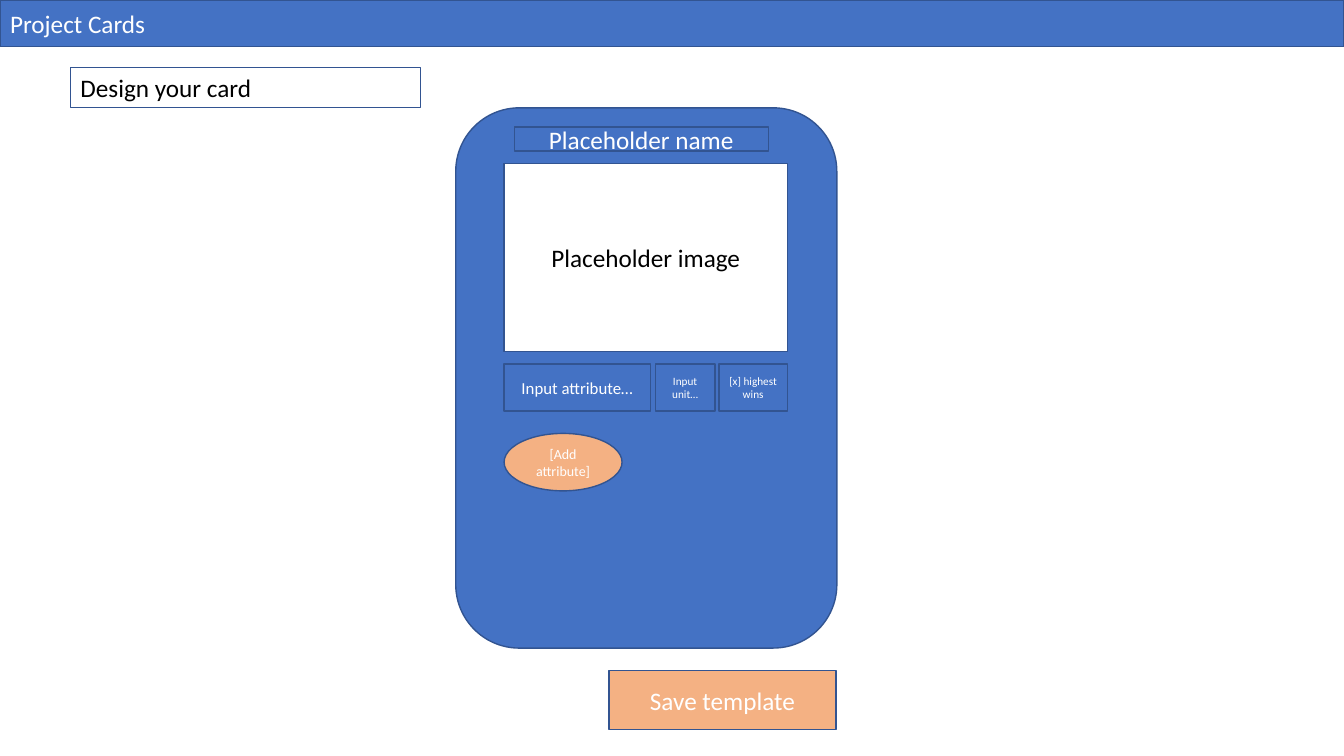
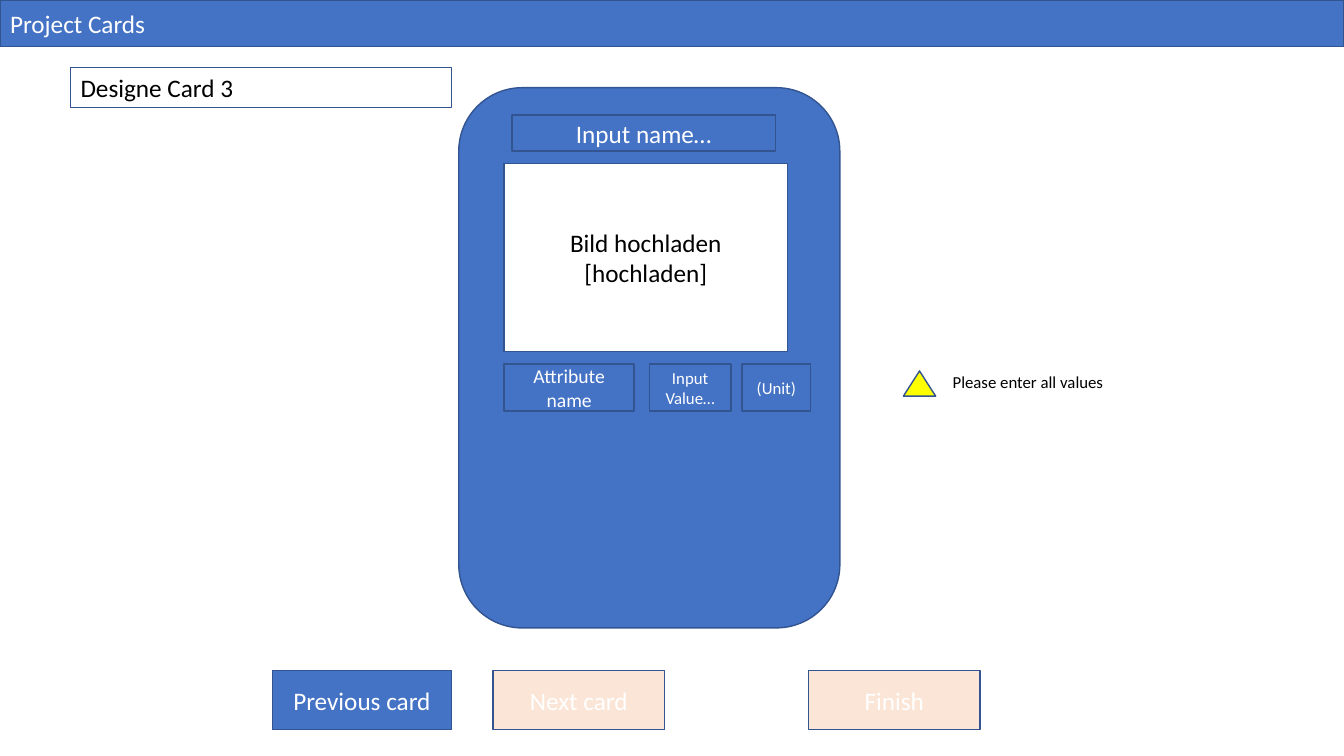
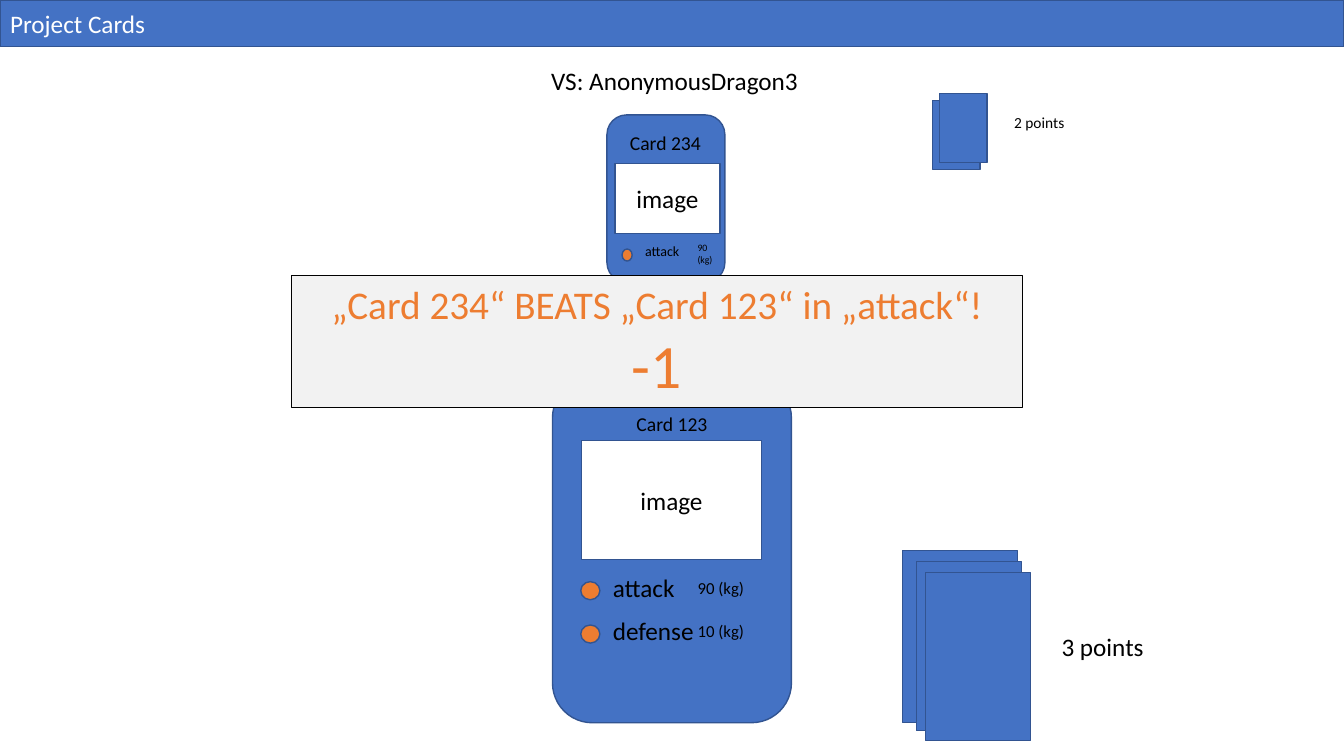
from pptx import Presentation
from pptx.dml.color import RGBColor
from pptx.enum.shapes import MSO_SHAPE
from pptx.enum.text import MSO_ANCHOR, MSO_AUTO_SIZE, PP_ALIGN
from pptx.util import Inches, Pt

FONT = "Calibri"
BLUE, EDGE = "4472C4", "325491"
WHITE, BLACK = "FFFFFF", "000000"
ORANGE, PEACH, PALE = "ED7D31", "F4B183", "FBE5D6"
YELLOW, GREY = "FFFF00", "F2F2F2"
LEFT, CENTER = PP_ALIGN.LEFT, PP_ALIGN.CENTER
TITLE_ONLY = 5


def rgb(color):
    """Turn a hex string into a colour."""
    return RGBColor.from_string(color)


def paint(sp, fill, line=EDGE, width=1):
    """Set the fill and the outline of a shape."""
    sp.fill.solid()
    sp.fill.fore_color.rgb = rgb(fill)
    sp.line.color.rgb = rgb(line)
    sp.line.width = Pt(width)


def write(tf, lines, color, align, anchor):
    """Write (text, size) lines as paragraphs of a text frame."""
    tf.word_wrap = True
    tf.auto_size = MSO_AUTO_SIZE.NONE
    tf.vertical_anchor = anchor
    for i, (text, size) in enumerate(lines):
        p = tf.add_paragraph() if i else tf.paragraphs[0]
        p.alignment = align
        r = p.add_run()
        r.text = text
        r.font.name = FONT
        r.font.size = Pt(size)
        r.font.color.rgb = rgb(color)


def add_box(s, at, lines=(), fill=BLUE, color=WHITE, align=CENTER,
            kind=MSO_SHAPE.RECTANGLE):
    """Add a preset shape with centred text lines."""
    sp = s.shapes.add_shape(kind, *map(Inches, at))
    sp.shadow.inherit = False
    paint(sp, fill)
    write(sp.text_frame, lines, color, align, MSO_ANCHOR.MIDDLE)


def add_label(s, at, text, size, align=LEFT):
    """Add a plain black text box."""
    sp = s.shapes.add_textbox(*map(Inches, at))
    write(sp.text_frame, [(text, size)], BLACK, align, MSO_ANCHOR.TOP)


def add_slide(prs):
    """Add a slide whose title is the blue band at the top."""
    s = prs.slides.add_slide(prs.slide_layouts[TITLE_ONLY])
    title = s.shapes.title
    title.left, title.top = Inches(0), Inches(0)
    title.width, title.height = prs.slide_width, Inches(0.46)
    paint(title, BLUE)
    write(title.text_frame, [("Project Cards", 18)], WHITE, LEFT,
          MSO_ANCHOR.MIDDLE)
    return s


def add_heading(s, text, width):
    """Add the framed heading under the band."""
    add_box(s, (0.7, 0.67, width, 0.4), [(text, 18)], WHITE, BLACK, LEFT)


def add_editor(s, left, top, name, name_at, image_lines, fields):
    """Add a card form with a name, an image area and a row of fields."""
    add_box(s, (left, top, 3.78, 5.36), kind=MSO_SHAPE.ROUNDED_RECTANGLE)
    add_box(s, name_at, [(name, 18)])
    add_box(s, (5, 1.62, 2.81, 1.87), [(t, 18) for t in image_lines],
            WHITE, BLACK)
    for x, width, text, size in fields:
        add_box(s, (x, 3.61, width, 0.47), [(text, size)])


def add_button(s, left, width, text, fill):
    """Add a button to the bottom row."""
    add_box(s, (left, 6.65, width, 0.59), [(text, 18)], fill)


def add_playing_card(s, card_at, image_at, name_at, name):
    """Add a card in play with its name and image area."""
    add_box(s, card_at, kind=MSO_SHAPE.ROUNDED_RECTANGLE)
    add_box(s, image_at, [("image", 18)], WHITE, BLACK)
    add_label(s, name_at, name, 14, CENTER)


def add_attribute(s, dot_at, name_at, name, name_size, value_at, value,
                  value_size):
    """Add a choice dot with an attribute name and its value."""
    add_box(s, dot_at, fill=ORANGE, kind=MSO_SHAPE.OVAL)
    add_label(s, name_at, name, name_size)
    add_label(s, value_at, value, value_size)


def add_pile(s, cards, label_at, text, size):
    """Add a pile of won cards and its points."""
    for at in cards:
        add_box(s, at)
    add_label(s, label_at, text, size)


def add_banner(s, at, lines):
    """Add the result banner over the cards."""
    sp = s.shapes.add_textbox(*map(Inches, at))
    paint(sp, GREY, BLACK, 0.75)
    write(sp.text_frame, lines, ORANGE, CENTER, MSO_ANCHOR.TOP)


def template_slide(prs):
    """Build the slide for designing the card template."""
    s = add_slide(prs)
    add_heading(s, "Design your card", 3.47)
    add_editor(s, 4.52, 1.07, "Placeholder name", (5.1, 1.26, 2.52, 0.24),
               ["Placeholder image"],
               [(5, 1.45, "Input attribute…", 12),
                (6.5, 0.59, "Input unit…", 8),
                (7.13, 0.68, "[x] highest wins", 8)])
    add_box(s, (5, 4.3, 1.17, 0.57), [("[Add attribute]", 10)], PEACH,
            kind=MSO_SHAPE.OVAL)
    add_button(s, 6.04, 2.25, "Save template", PEACH)


def entry_slide(prs):
    """Build the slide for filling in one card."""
    s = add_slide(prs)
    add_heading(s, "Designe Card 3", 3.78)
    add_editor(s, 4.55, 0.87, "Input name…", (5.08, 1.14, 2.61, 0.36),
               ["Bild hochladen", "[hochladen]"],
               [(5, 1.29, "Attribute name", 14),
                (6.44, 0.81, "Input Value…", 12),
                (7.36, 0.68, "(Unit)", 12)])
    add_button(s, 2.7, 1.78, "Previous card", BLUE)
    add_button(s, 4.89, 1.7, "Next card", PALE)
    add_button(s, 8.02, 1.7, "Finish", PALE)
    add_box(s, (8.96, 3.68, 0.32, 0.25), fill=YELLOW,
            kind=MSO_SHAPE.ISOSCELES_TRIANGLE)
    add_label(s, (9.35, 3.64, 2.06, 0.3), "Please enter all values", 12)


def battle_slide(prs):
    """Build the slide showing the result of a round."""
    s = add_slide(prs)
    add_label(s, (4.43, 0.6, 4.52, 0.4), "VS: AnonymousDragon3", 18, CENTER)
    add_playing_card(s, (5.48, 3.75, 2.37, 3.42), (5.77, 4.37, 1.78, 1.18),
                     (5.86, 4.04, 1.61, 0.34), "Card 123")
    for i, (name, value) in enumerate([("attack", "90 (kg)"),
                                       ("defense", "10 (kg)")]):
        y = 5.63 + 0.43 * i
        add_attribute(s, (5.76, y + 0.14, 0.19, 0.18),
                      (5.98, y, 1.35, 0.4), name, 18,
                      (6.82, y + 0.05, 0.74, 0.3), value, 12)
    add_playing_card(s, (6.02, 1.14, 1.17, 1.66), (6.1, 1.62, 1.04, 0.7),
                     (6.13, 1.25, 0.94, 0.34), "Card 234")
    add_attribute(s, (6.17, 2.47, 0.1, 0.12), (6.3, 2.36, 0.71, 0.27),
                  "attack", 10, (6.82, 2.35, 0.44, 0.34), "90 (kg)", 7)
    add_pile(s, [(8.95, 5.46, 1.14, 1.71), (9.09, 5.57, 1.04, 1.68),
                 (9.18, 5.68, 1.04, 1.67)],
             (10.43, 6.21, 1.79, 0.4), "3 points", 18)
    add_pile(s, [(9.25, 1, 0.47, 0.68), (9.32, 0.93, 0.47, 0.68)],
             (9.96, 1.07, 0.96, 0.29), "2 points", 11)
    add_banner(s, (2.89, 2.73, 7.25, 1.31),
               [("„Card 234“ BEATS „Card 123“ in „attack“!", 28),
                ("-1", 44)])


def main():
    """Build the three slides and save them."""
    prs = Presentation()
    prs.slide_width, prs.slide_height = Inches(13.33), Inches(7.5)
    template_slide(prs)
    entry_slide(prs)
    battle_slide(prs)
    prs.save("out.pptx")


main()
